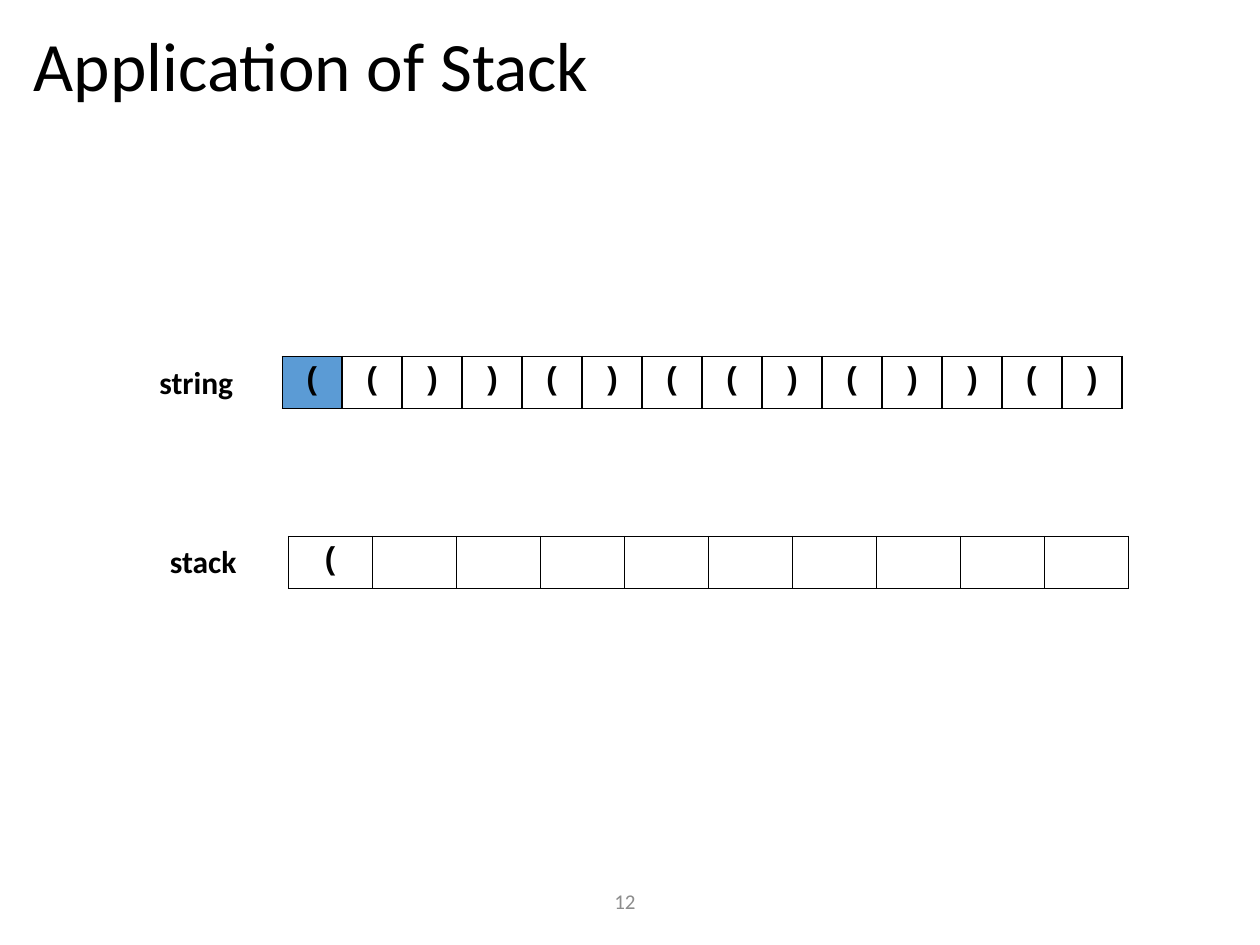
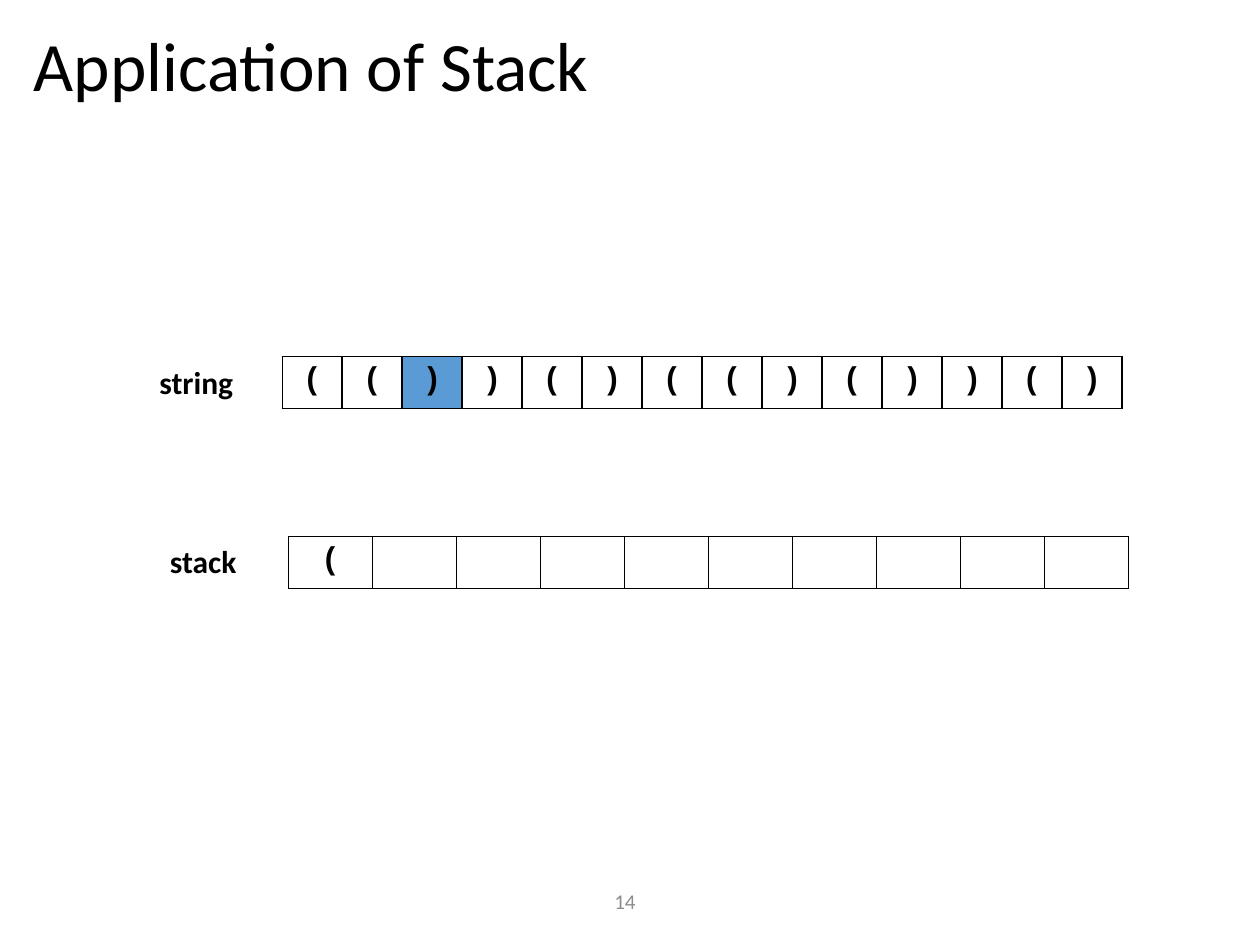
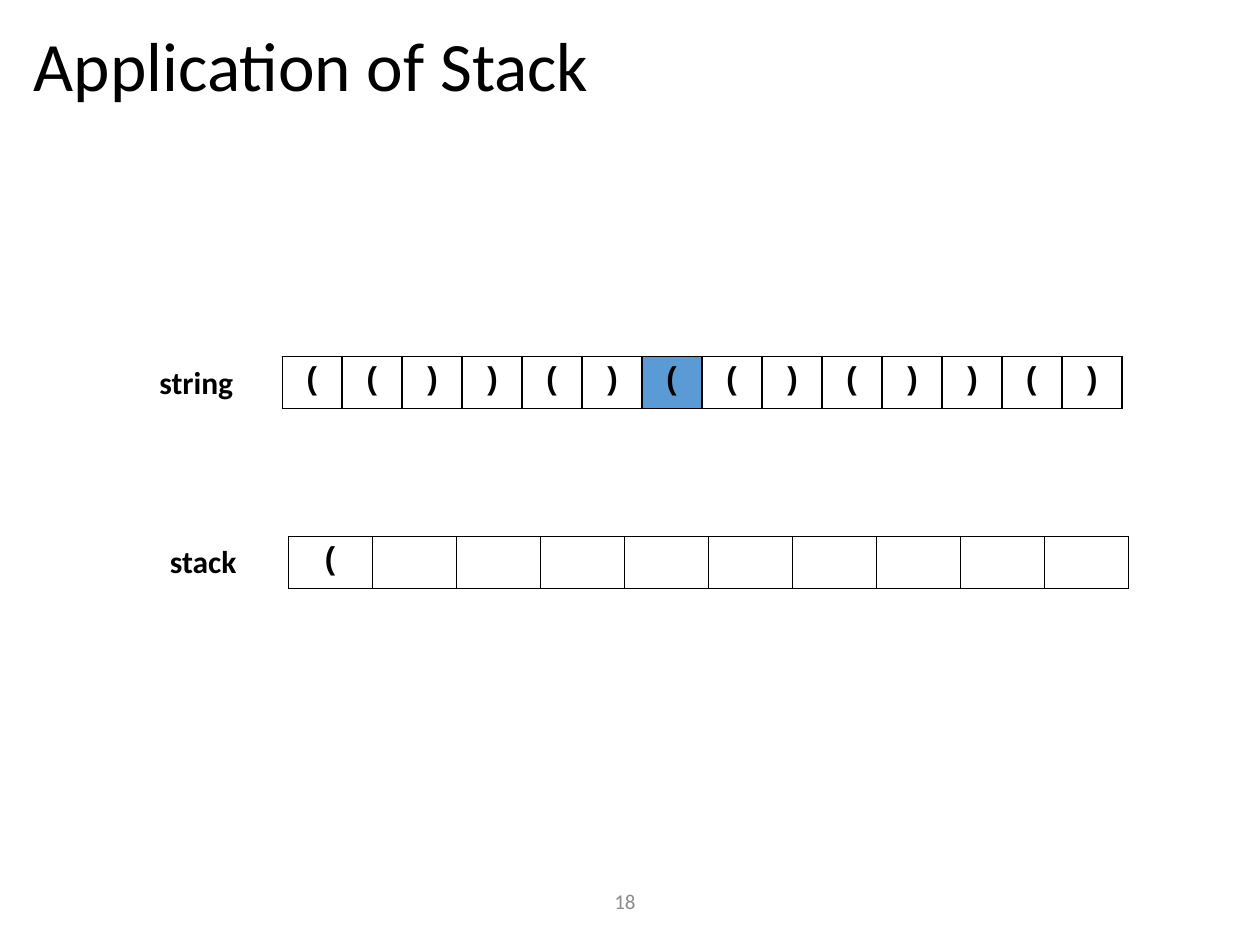
from pptx import Presentation
from pptx import util as u
from pptx.dml.color import RGBColor
from pptx.enum import text
from pptx.oxml import parse_xml
from pptx.oxml.ns import nsdecls

# Shared style
BLACK, GREY, BLUE = "000000", "8C8C8C", "5B9BD5"
BODY_FONT, CODE_FONT = "Calibri", "Courier New"
TITLE = "Application of Stack"
ROW_WIDTH, ROW_HEIGHT = 480, 29.5

# Content: page number, index of the current symbol, stack content
STRING = "(())()(()())()"
STACK_SIZE = 10
STEPS = [(12, 0, "("), (14, 2, "("), (18, 6, "(")]


def rgb(value):
    return RGBColor.from_string(value)


def box(left, top, width, height):
    return [u.Pt(v) for v in (left, top, width, height)]


def write(tf, content, size=18, font=BODY_FONT, color=BLACK, bold=False,
          align=text.PP_ALIGN.LEFT, spacing=None):
    p = tf.paragraphs[0]
    p.alignment = align
    if spacing:
        p.line_spacing = spacing
    r = p.add_run()
    r.text = content
    r.font.size, r.font.name, r.font.bold = u.Pt(size), font, bold
    r.font.color.rgb = rgb(color)


def add_title(s):
    sp = s.shapes.title
    sp.left, sp.top, sp.width, sp.height = box(12.2, 13, 692.6, 53.3)
    tf = sp.text_frame
    tf.auto_size = text.MSO_AUTO_SIZE.NONE
    tf.vertical_anchor = text.MSO_ANCHOR.MIDDLE
    write(tf, TITLE, size=39.6, spacing=0.9)


def add_text(s, content, place, anchor=text.MSO_ANCHOR.TOP, grow=False, **style):
    tf = s.shapes.add_textbox(*box(*place)).text_frame
    tf.word_wrap = True
    tf.vertical_anchor = anchor
    if grow:
        tf.auto_size = text.MSO_AUTO_SIZE.SHAPE_TO_FIT_TEXT
    write(tf, content, **style)


def add_label(s, content, place):
    add_text(s, content, place, grow=True, bold=True)


def set_borders(cell, width=1, color=BLACK):
    tcPr = cell._tc.get_or_add_tcPr()
    for i, side in enumerate(("lnL", "lnR", "lnT", "lnB")):
        # Borders come before the fill in the cell properties
        tcPr.insert(i, parse_xml(
            f'<a:{side} {nsdecls("a")} w="{u.Pt(width)}"><a:solidFill>'
            f'<a:srgbClr val="{color}"/></a:solidFill></a:{side}>'))


def add_symbols(s, symbols, count, left, top, current=None):
    """One row of equal cells, with the current one highlighted."""
    table = s.shapes.add_table(1, count, *box(left, top, ROW_WIDTH, ROW_HEIGHT)).table
    table.first_row = table.horz_banding = False
    for i in range(count):
        table.columns[i].width = u.Pt(ROW_WIDTH / count)
        cell = table.cell(0, i)
        if i == current:
            cell.fill.solid()
            cell.fill.fore_color.rgb = rgb(BLUE)
        else:
            cell.fill.background()
        set_borders(cell)
        if i < len(symbols):
            write(cell.text_frame, symbols[i], font=CODE_FONT, bold=True,
                  align=text.PP_ALIGN.CENTER)


def add_step(prs, page, current, stack):
    s = prs.slides.add_slide(prs.slide_layouts[5])
    add_title(s)
    add_text(s, str(page), (188.6, 500.4, 337, 28.8), anchor=text.MSO_ANCHOR.MIDDLE,
             size=12, color=GREY, align=text.PP_ALIGN.CENTER)
    # Stack
    add_symbols(s, stack, STACK_SIZE, 164.9, 306.7)
    add_label(s, "stack", (90, 306, 64, 29))
    # Input string
    add_symbols(s, STRING, len(STRING), 161.3, 203.8, current)
    add_label(s, "string", (84, 203.8, 67, 29))


def main():
    prs = Presentation()
    prs.slide_width, prs.slide_height = u.Pt(720), u.Pt(540)
    for step in STEPS:
        add_step(prs, *step)
    prs.save("out.pptx")


main()
